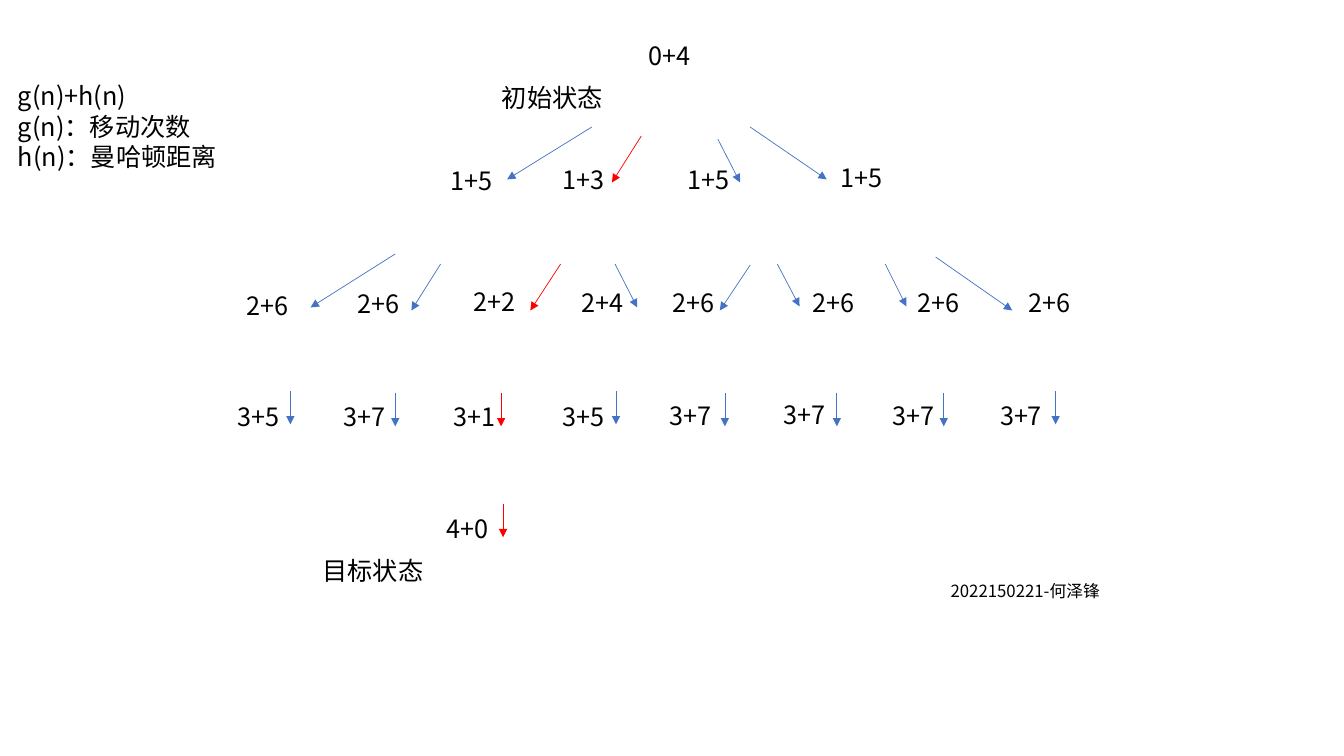
import pptx
import pptx.dml.color
import pptx.enum.shapes
import pptx.enum.text
import pptx.oxml.ns
import pptx.util
from dataclasses import dataclass
from lxml import etree
from pptx.util import Inches


@dataclass(frozen=True)
class Theme:
    font: str = "Noto Sans CJK SC"
    text: str = "000000"
    branch: str = "4472C4"
    solution: str = "FF0000"
    body: int = 18
    small: int = 12
    line: float = 0.5


THEME = Theme()

# Search tree levels: (left, top, width, cost)
NODES = [
    [(6.33, 0.35, 1.15, "0+4")],
    [(4.37, 1.59, 0.76, "1+5"), (5.48, 1.58, 0.77, "1+3"),
     (6.72, 1.58, 0.9, "1+5"), (8.24, 1.56, 0.84, "1+5")],
    [(2.35, 2.83, 0.71, "2+6"), (3.45, 2.81, 0.77, "2+6"),
     (4.6, 2.79, 0.7, "2+2"), (5.67, 2.8, 0.67, "2+4"),
     (6.57, 2.8, 0.75, "2+6"), (7.96, 2.8, 0.68, "2+6"),
     (9, 2.8, 0.76, "2+6"), (10.1, 2.8, 0.74, "2+6")],
    [(2.26, 3.93, 0.82, "3+5"), (3.31, 3.93, 0.85, "3+7"),
     (4.4, 3.93, 0.69, "3+1"), (5.48, 3.93, 0.67, "3+5"),
     (6.54, 3.92, 0.7, "3+7"), (7.67, 3.91, 0.68, "3+7"),
     (8.75, 3.92, 0.76, "3+7"), (9.82, 3.92, 0.65, "3+7")],
    [(4.33, 5.04, 0.77, "4+0")],
]

# Slanted moves: (x1, y1, x2, y2)
BRANCHES = [
    (5.87, 1.26, 5.03, 1.78), (7.12, 1.38, 7.34, 1.81),
    (7.44, 1.26, 8.2, 1.78), (6.1, 2.62, 6.32, 3.05),
    (3.92, 2.52, 3.08, 3.05), (4.37, 2.62, 4.08, 3.08),
    (7.44, 2.63, 7.14, 3.08), (7.71, 2.62, 7.93, 3.04),
    (8.78, 2.62, 8.99, 3.04), (9.28, 2.55, 10.04, 3.08),
]
SOLUTION = [(6.36, 1.35, 6.07, 1.81), (5.56, 2.62, 5.26, 3.08)]

# Vertical moves: (x, top), all of one length
DROP = 0.33
BRANCH_DROPS = [(2.88, 3.88), (3.92, 3.9), (6.11, 3.88), (7.19, 3.9),
                (8.3, 3.9), (9.36, 3.9), (10.47, 3.88)]
SOLUTION_DROPS = [(4.97, 3.9), (4.99, 5)]


def add_text(s, left, top, width, height, lines, size=THEME.body):
    tb = s.shapes.add_textbox(Inches(left), Inches(top), Inches(width), Inches(height))
    tf = tb.text_frame
    tf.word_wrap = True
    tf.auto_size = pptx.enum.text.MSO_AUTO_SIZE.SHAPE_TO_FIT_TEXT
    tf.text = "\n".join(lines)
    for p in tf.paragraphs:
        p.font.size = pptx.util.Pt(size)
        p.font.name = THEME.font
        p.font.color.rgb = pptx.dml.color.RGBColor.from_string(THEME.text)
        # East Asian typeface
        qn = pptx.oxml.ns.qn
        props = p._p.pPr.find(qn("a:defRPr"))
        etree.SubElement(props, qn("a:ea"), typeface=THEME.font)


def add_arrow(s, x1, y1, x2, y2, color):
    c = s.shapes.add_connector(pptx.enum.shapes.MSO_CONNECTOR.STRAIGHT,
                               Inches(x1), Inches(y1), Inches(x2), Inches(y2))
    c.line.color.rgb = pptx.dml.color.RGBColor.from_string(color)
    c.line.width = pptx.util.Pt(THEME.line)
    qn = pptx.oxml.ns.qn
    etree.SubElement(c.line._get_or_add_ln(), qn("a:tailEnd"), type="triangle")
    etree.SubElement(c._element.spPr, qn("a:effectLst"))


def add_moves(s, slanted, drops, color):
    for ends in slanted:
        add_arrow(s, *ends, color)
    for x, top in drops:
        add_arrow(s, x, top, x, top + DROP, color)


def main():
    prs = pptx.Presentation()
    prs.slide_width, prs.slide_height = Inches(13.33), Inches(7.5)
    s = prs.slides.add_slide(prs.slide_layouts[6])

    # Moves between states
    add_moves(s, BRANCHES, BRANCH_DROPS, THEME.branch)
    add_moves(s, SOLUTION, SOLUTION_DROPS, THEME.solution)

    # Costs of the states
    for level in NODES:
        for left, top, width, cost in level:
            add_text(s, left, top, width, 0.4, [cost])

    # State names, legend and author
    add_text(s, 4.88, 0.77, 1.26, 0.4, ["初始状态"])
    add_text(s, 3.1, 5.46, 1.26, 0.4, ["目标状态"])
    add_text(s, 0.08, 0.75, 2.18, 1.01,
             ["g(n)+h(n)", "g(n)：移动次数", "h(n)：曼哈顿距离"])
    add_text(s, 9.33, 5.71, 3.36, 0.3, ["2022150221-何泽锋"], THEME.small)

    prs.save("out.pptx")


if __name__ == "__main__":
    main()
